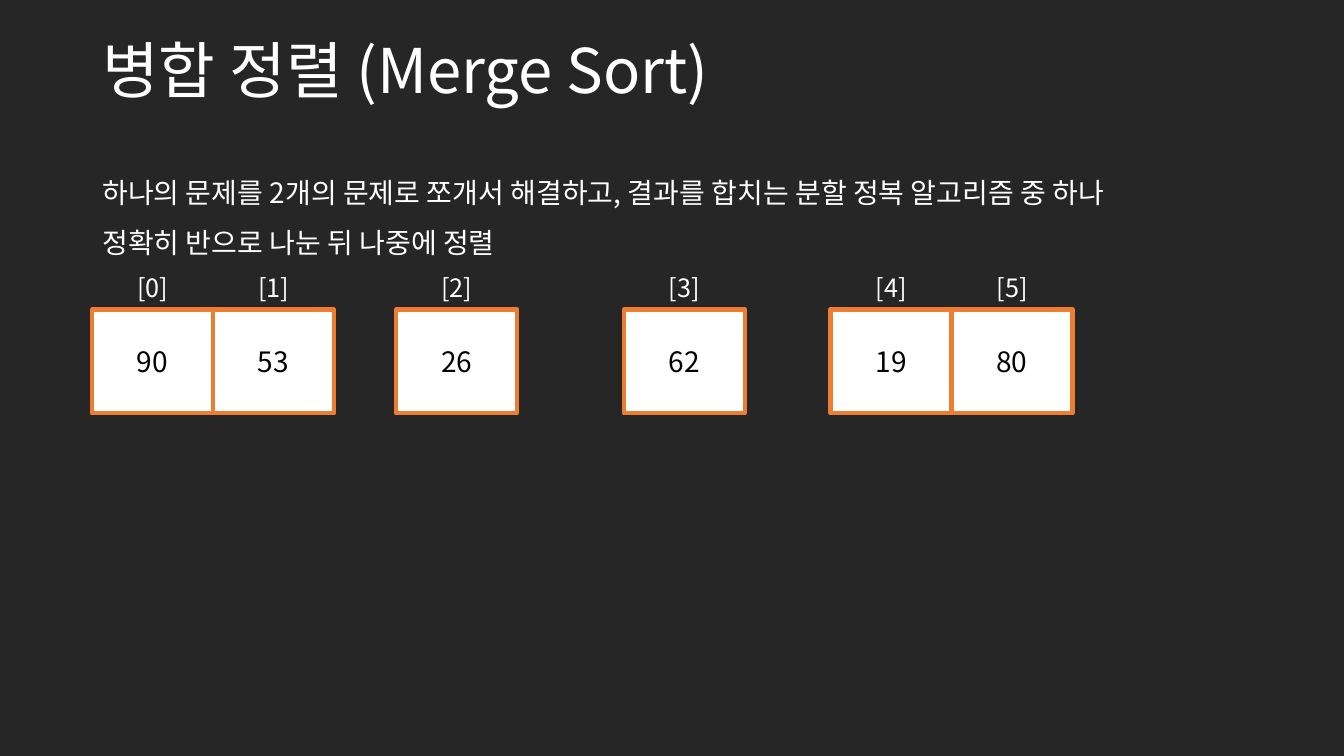
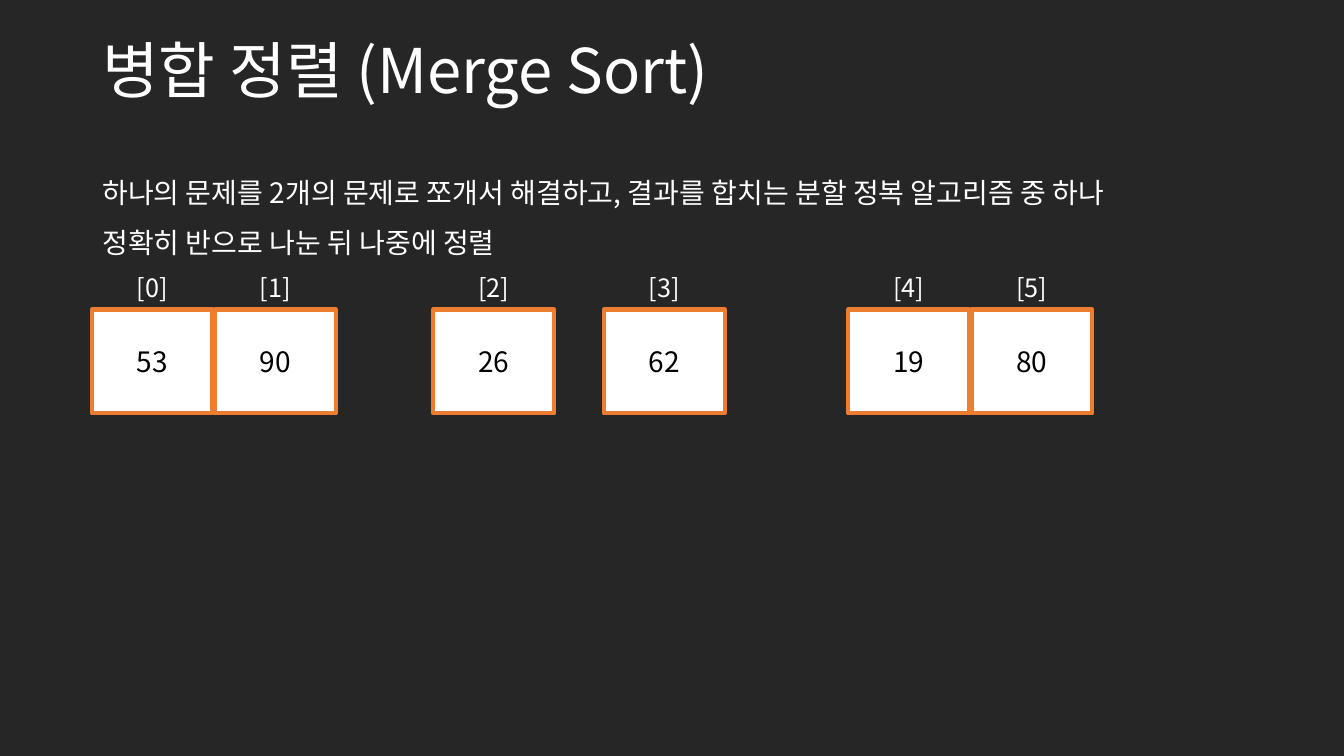
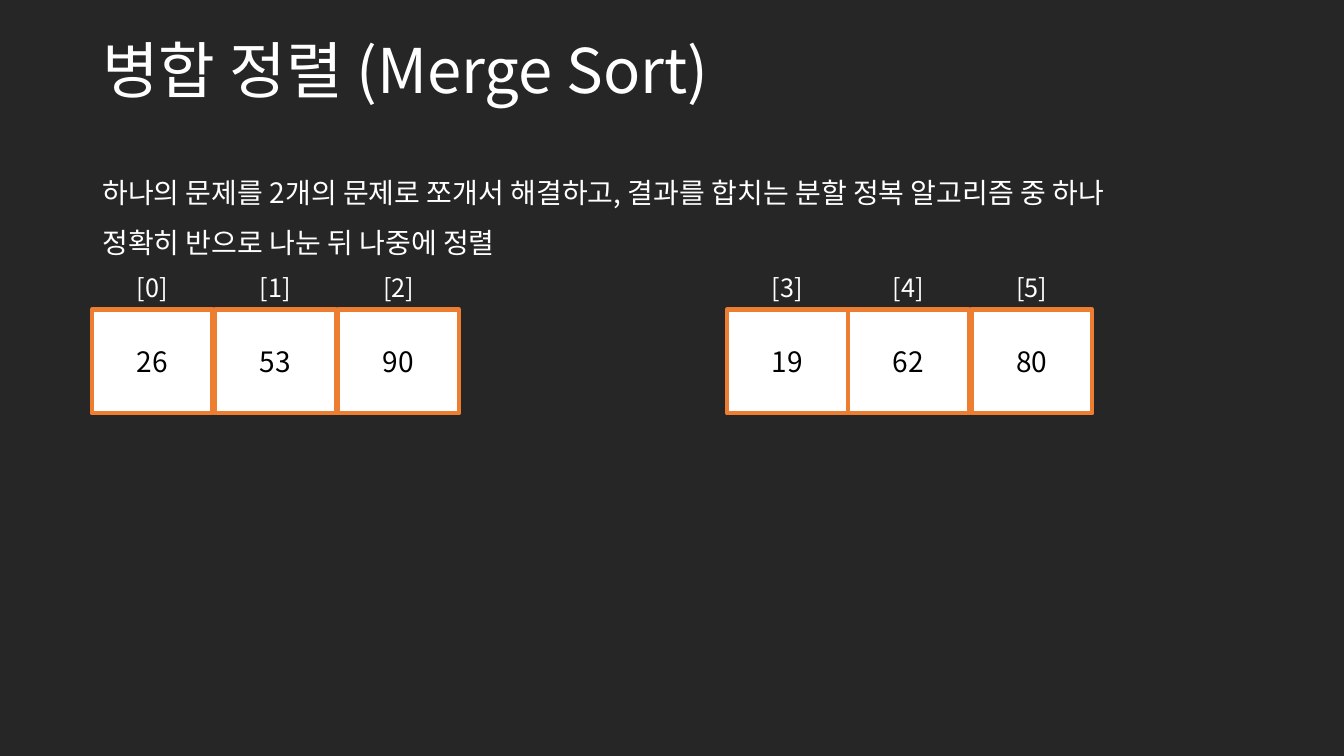
from dataclasses import dataclass

from lxml import etree
from pptx import Presentation
from pptx.dml.color import RGBColor
from pptx.enum.shapes import MSO_SHAPE
from pptx.enum.text import MSO_ANCHOR, MSO_AUTO_SIZE, PP_ALIGN
from pptx.oxml.ns import qn
from pptx.util import Pt

RECTANGLE = MSO_SHAPE.RECTANGLE
TOP, MIDDLE = MSO_ANCHOR.TOP, MSO_ANCHOR.MIDDLE
LEFT, CENTER = PP_ALIGN.LEFT, PP_ALIGN.CENTER
GROW = MSO_AUTO_SIZE.SHAPE_TO_FIT_TEXT
FIXED = MSO_AUTO_SIZE.NONE
BLANK_LAYOUT = 6


@dataclass(frozen=True)
class Theme:
    """Colours, font and type sizes shared by every slide."""

    background: RGBColor = RGBColor(0x26, 0x26, 0x26)
    light: RGBColor = RGBColor(0xFF, 0xFF, 0xFF)
    dark: RGBColor = RGBColor(0x00, 0x00, 0x00)
    accent: RGBColor = RGBColor(0xED, 0x7D, 0x31)
    font: str = "Noto Sans CJK KR"
    title_size: float = 44
    body_size: float = 20
    index_size: float = 18
    border: float = 3


THEME = Theme()
SLIDE_SIZE = (960, 540)
TITLE_BOX = (66, 13, 828, 78.5)
BODY_BOX = (66, 109.5, 828, 77)
ARRAY_TOP = 190.9
INDEX_SIZE = (67.6, 30.2)
CELL_SIZE = (86.4, 74.2)
TIGHT_PITCH = 86.4
LOOSE_PITCH = 88

TITLE = "병합 정렬 (Merge Sort)"
BODY = (
    "하나의 문제를 2개의 문제로 쪼개서 해결하고, 결과를 합치는 분할 정복 알고리즘 중 하나\n"
    "정확히 반으로 나눈 뒤 나중에 정렬"
)
STEPS = [
    [
        (65.8, TIGHT_PITCH, [90, 53]),
        (283, TIGHT_PITCH, [26]),
        (445.7, TIGHT_PITCH, [62]),
        (593.3, TIGHT_PITCH, [19, 80]),
    ],
    [
        (65.5, LOOSE_PITCH, [53, 90]),
        (309.6, LOOSE_PITCH, [26]),
        (431.3, LOOSE_PITCH, [62]),
        (605.9, LOOSE_PITCH, [19, 80]),
    ],
    [
        (65.5, LOOSE_PITCH, [26, 53, 90]),
        (519.3, TIGHT_PITCH, [19, 62]),
        (693.9, TIGHT_PITCH, [80]),
    ],
]


def write_text(shape, text, size, color, align=LEFT, anchor=TOP, spacing=1.0, fit=FIXED):
    """Fill a shape with text and format all its runs."""
    frame = shape.text_frame
    frame.text = text
    frame.word_wrap = True
    frame.auto_size = fit
    frame.vertical_anchor = anchor
    for para in frame.paragraphs:
        para.alignment = align
        para.line_spacing = spacing
        for span in para.runs:
            span.font.size = Pt(size)
            span.font.color.rgb = color
            span.font.name = THEME.font
            east_asian = etree.SubElement(span.font._element, qn("a:ea"))
            east_asian.set("typeface", THEME.font)


def add_text(page, box, text, size, **style):
    """Add a light text box to the page."""
    shape = page.shapes.add_textbox(*map(Pt, box))
    write_text(shape, text, size, THEME.light, **style)


def add_cell(page, left, top, index, value):
    """Draw one array cell with its index centred above it."""
    index_width, index_height = INDEX_SIZE
    cell_width, cell_height = CELL_SIZE
    box = (left, top + index_height, cell_width, cell_height)
    cell = page.shapes.add_shape(RECTANGLE, *map(Pt, box))
    cell.shadow.inherit = False
    cell.fill.solid()
    cell.fill.fore_color.rgb = THEME.light
    cell.line.color.rgb = THEME.accent
    cell.line.width = Pt(THEME.border)
    write_text(cell, str(value), THEME.body_size, THEME.dark, CENTER, MIDDLE)
    index_left = left + (cell_width - index_width) / 2
    add_text(page, (index_left, top, index_width, index_height), f"[{index}]",
             THEME.index_size, align=CENTER, fit=GROW)


def add_array(page, top, groups):
    """Draw the groups of cells, numbered from left to right."""
    index = 0
    for left, pitch, values in groups:
        for column, value in enumerate(values):
            add_cell(page, left + column * pitch, top, index, value)
            index += 1


def add_step(deck, groups):
    """Add a slide with the title, the description and one sorting step."""
    page = deck.slides.add_slide(deck.slide_layouts[BLANK_LAYOUT])
    add_text(page, BODY_BOX, BODY, THEME.body_size, spacing=1.5, fit=GROW)
    add_text(page, TITLE_BOX, TITLE, THEME.title_size, anchor=MIDDLE, spacing=0.9)
    add_array(page, ARRAY_TOP, groups)


def main():
    """Build and save the deck."""
    deck = Presentation()
    deck.slide_width, deck.slide_height = map(Pt, SLIDE_SIZE)
    backdrop = deck.slide_master.background.fill
    backdrop.solid()
    backdrop.fore_color.rgb = THEME.background
    for groups in STEPS:
        add_step(deck, groups)
    deck.save("out.pptx")


if __name__ == "__main__":
    main()
